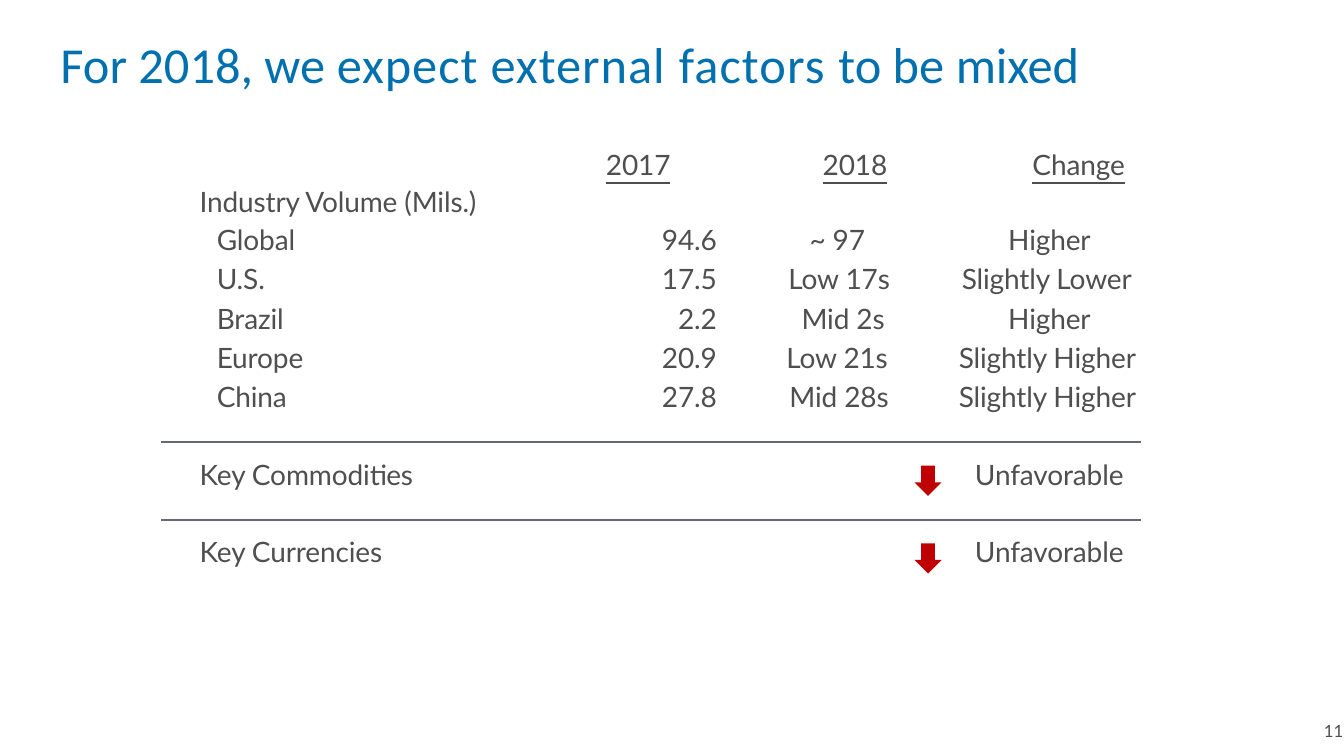
from dataclasses import dataclass

from lxml.etree import SubElement
from pptx import Presentation
from pptx.dml.color import RGBColor
from pptx.enum.shapes import MSO_SHAPE
from pptx.enum.text import MSO_ANCHOR, MSO_AUTO_SIZE, PP_ALIGN
from pptx.oxml import parse_xml
from pptx.oxml.ns import nsdecls, qn
from pptx.util import Inches, Pt


@dataclass(frozen=True)
class Theme:
    title_font: str = "Calibri"
    body_font: str = "Lato"
    title_size: int = 36
    body_size: int = 20
    number_size: int = 12
    title_color: str = "0071AE"
    text_color: str = "4F4F4F"
    rule_color: str = "666A70"
    arrow_color: str = "C00000"


NO_STYLE_TABLE = "{2D5ABB26-0587-4C30-8999-92F81FD0307C}"
LEFT, CENTER, RIGHT = PP_ALIGN.LEFT, PP_ALIGN.CENTER, PP_ALIGN.RIGHT

TITLE_RUNS = [("For 2018, we ", 0), ("expect external ", 0.7),
              ("factors ", 0.8), ("to be ", 0), ("mixed", -0.1)]

COLUMN_WIDTHS = [3.26, 2.43, 1.95, 2.08]
ROW_HEIGHTS = [0.35, 0.38] + [0.39] * 4 + [0.63, 0.77, 0.5]
HEADINGS = [("", 0), ("2017", 1.15), ("2018", 0.87), ("Change", 1)]
# Region, 2017 volume, 2018 outlook and its indent, change and its indent
REGIONS = [
    ("Global", "94.6", "~ 97", 0.08, "Higher", 0.76),
    ("U.S.", "17.5", "Low 17s", 0.53, "Slightly Lower", 0.3),
    ("Brazil", "2.2", "Mid 2s", 0.66, "Higher", 0.76),
    ("Europe", "20.9", "Low 21s", 0.51, "Slightly Higher", 0.27),
    ("China", "27.8", "Mid 28s", 0.54, "Slightly Higher", 0.27),
]
KEY_FACTORS = ["Key Commodities", "Key Currencies"]


class SlideBuilder:
    def __init__(self, prs, theme):
        self.theme = theme
        self.s = prs.slides.add_slide(prs.slide_layouts[5])

    def style(self, p, font, size, color, align=LEFT):
        p.alignment = align
        p.font.name = font
        p.font.size = Pt(size)
        p.font.color.rgb = RGBColor.from_string(color)

    def frame(self, tf, top):
        tf.margin_left = tf.margin_right = tf.margin_bottom = 0
        tf.margin_top = Inches(top)
        tf.vertical_anchor = MSO_ANCHOR.TOP
        tf.word_wrap = True
        tf.auto_size = MSO_AUTO_SIZE.NONE

    def title(self, runs, x, y, w, h):
        """Fill the title from (text, letter spacing in points) pairs."""
        sp = self.s.shapes.title
        sp.left, sp.top, sp.width, sp.height = map(Inches, (x, y, w, h))
        self.frame(sp.text_frame, 0.01)
        p = sp.text_frame.paragraphs[0]
        for text, spacing in runs:
            r = p.add_run()
            r.text = text
            r.font._element.set("spc", str(round(spacing * 100)))
        t = self.theme
        self.style(p, t.title_font, t.title_size, t.title_color)

    def table(self, x, y, widths, heights):
        frame = self.s.shapes.add_table(
            len(heights), len(widths), Inches(x), Inches(y),
            Inches(sum(widths)), Inches(sum(heights)))
        table = frame.table
        table.first_row = table.horz_banding = False
        table._tbl.tblPr.find(qn("a:tableStyleId")).text = NO_STYLE_TABLE
        for column, width in zip(table.columns, widths):
            column.width = Inches(width)
        for row, height in zip(table.rows, heights):
            row.height = Inches(height)
        for cell in table.iter_cells():
            cell.margin_left = cell.margin_right = 0
            cell.margin_top = cell.margin_bottom = 0
            cell.fill.background()
        return table

    def cell(self, cell, text, indent=0, align=LEFT, top=0.01, underline=None):
        cell.margin_top = Inches(top)
        p = cell.text_frame.paragraphs[0]
        r = p.add_run()
        r.text = text
        r.font._element.set("spc", "-10")
        t = self.theme
        self.style(p, t.body_font, t.body_size, t.text_color, align)
        p.font.underline = underline
        side = "marR" if align == RIGHT else "marL"
        p._p.get_or_add_pPr().set(side, str(Inches(indent)))

    def rule(self, table, row):
        """Draw a line between a table row and the one below it."""
        for index, edge in ((row, "lnB"), (row + 1, "lnT")):
            for cell in table.rows[index].cells:
                ln = parse_xml(f'<a:{edge} {nsdecls("a")} w="{Pt(1.5)}"/>')
                fill = SubElement(ln, qn("a:solidFill"))
                SubElement(fill, qn("a:srgbClr"), val=self.theme.rule_color)
                cell._tc.get_or_add_tcPr().insert(0, ln)

    def down_arrow(self, x, y, w, h):
        sp = self.s.shapes.add_shape(
            MSO_SHAPE.DOWN_ARROW, *map(Inches, (x, y, w, h)))
        sp.shadow.inherit = False
        sp.fill.solid()
        sp.fill.fore_color.rgb = RGBColor.from_string(self.theme.arrow_color)
        sp.line.fill.background()

    def page_number(self, text, x, y, w, h):
        sp = self.s.shapes.add_textbox(*map(Inches, (x, y, w, h)))
        self.frame(sp.text_frame, 0.05)
        p = sp.text_frame.paragraphs[0]
        p.text = text
        t = self.theme
        self.style(p, t.body_font, t.number_size, t.text_color)


def main():
    prs = Presentation()
    prs.slide_width, prs.slide_height = Inches(13.33), Inches(7.5)
    slide = SlideBuilder(prs, Theme())
    slide.title(TITLE_RUNS, 0.6, 0.32, 10.4, 0.63)

    table = slide.table(1.6, 1.47, COLUMN_WIDTHS, ROW_HEIGHTS)
    for column, (heading, indent) in enumerate(HEADINGS):
        if heading:
            slide.cell(table.cell(0, column), heading, indent, top=0,
                       underline=True)
    slide.cell(table.cell(1, 0), "Industry Volume (Mils.)", 0.38)

    for row, values in enumerate(REGIONS, start=2):
        region, volume, outlook, outlook_indent, change, change_indent = values
        outlook_align = CENTER if outlook.startswith("~") else LEFT
        slide.cell(table.cell(row, 0), region, 0.55)
        slide.cell(table.cell(row, 1), volume, 0.18, RIGHT)
        slide.cell(table.cell(row, 2), outlook, outlook_indent, outlook_align)
        slide.cell(table.cell(row, 3), change, change_indent)

    first_factor_row = 2 + len(REGIONS)
    for i, factor in enumerate(KEY_FACTORS):
        row = first_factor_row + i
        slide.rule(table, row - 1)
        slide.cell(table.cell(row, 0), factor, 0.38, top=0.15)
        slide.cell(table.cell(row, 3), "Unfavorable", 0.43, top=0.15)
        slide.down_arrow(9.07, 4.62 + 0.77 * i, 0.27, 0.3)

    slide.page_number("11", 13.13, 7.1, 0.2, 0.27)
    prs.save("out.pptx")


if __name__ == "__main__":
    main()
